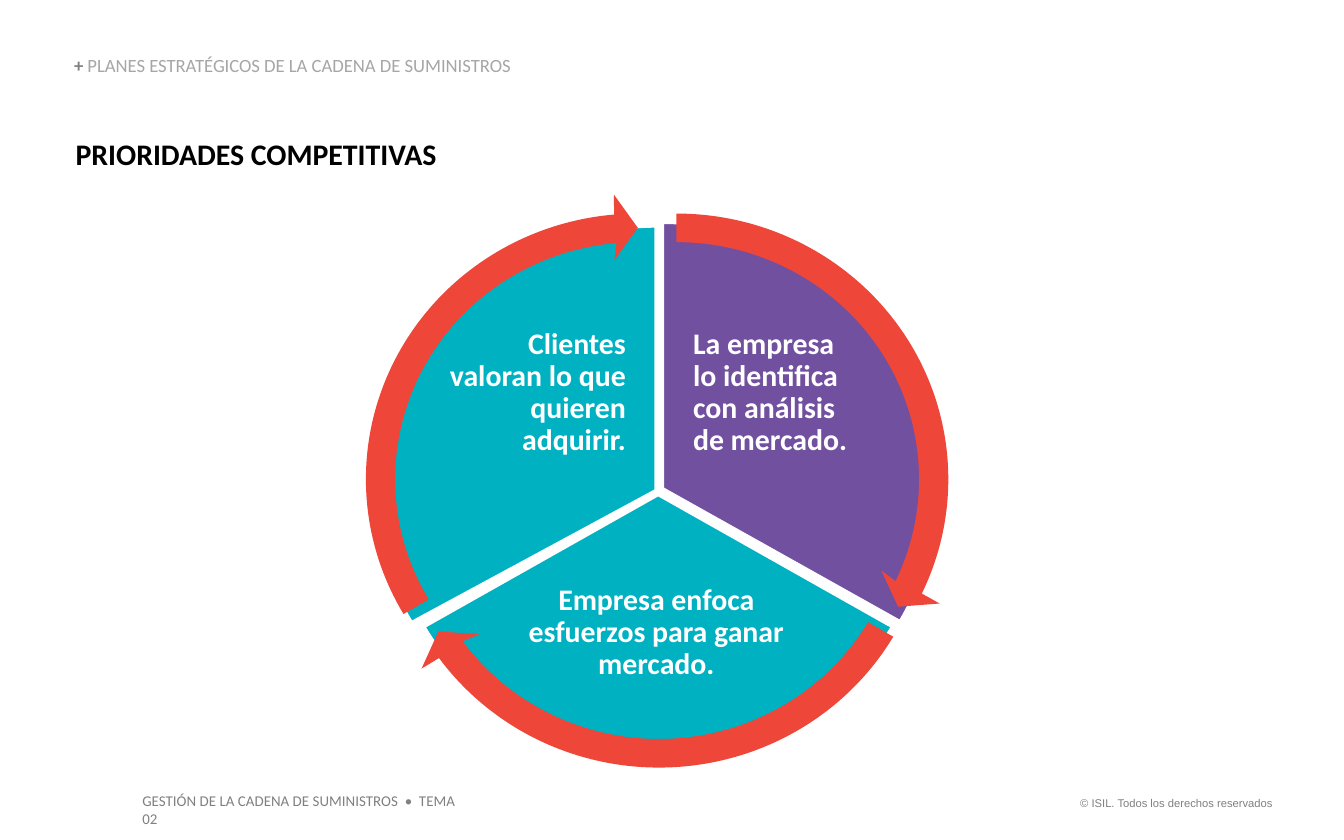
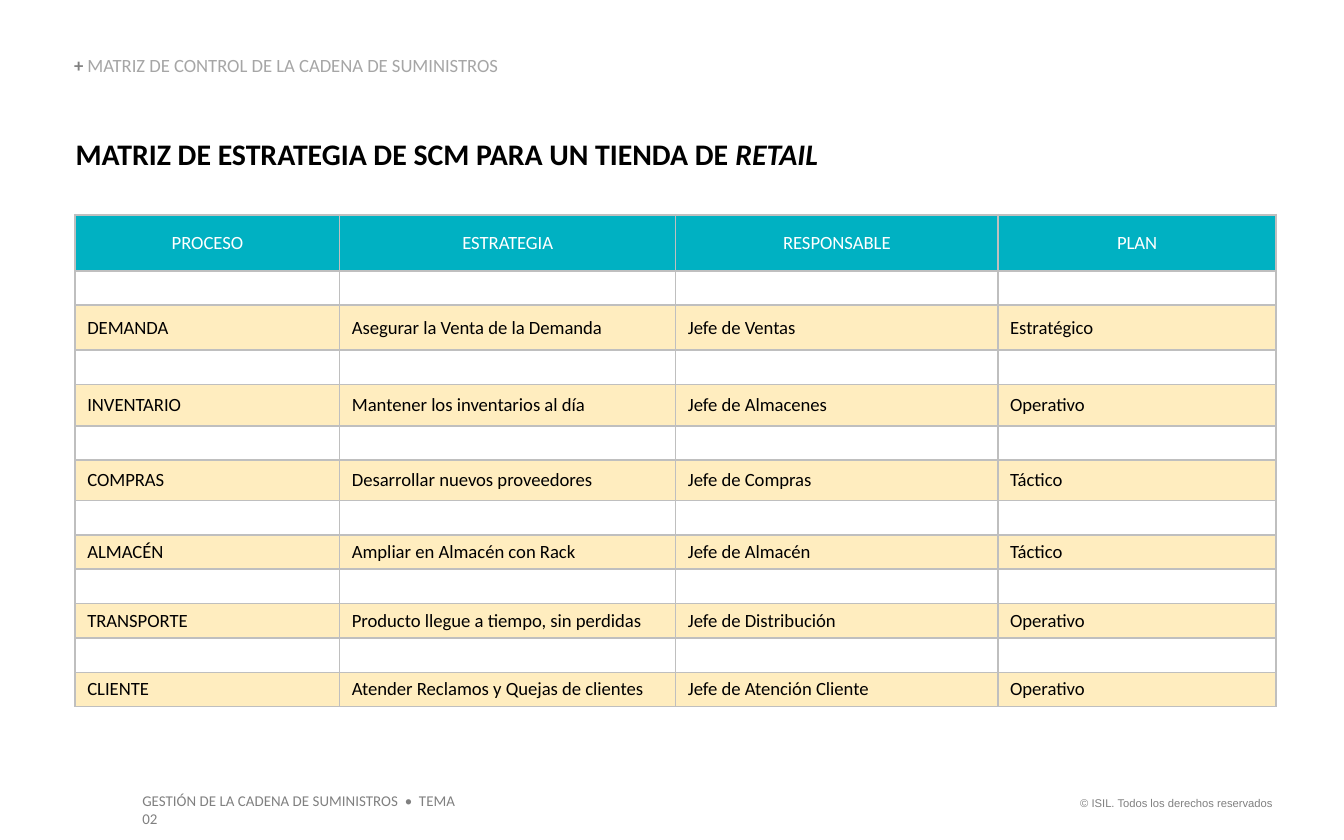
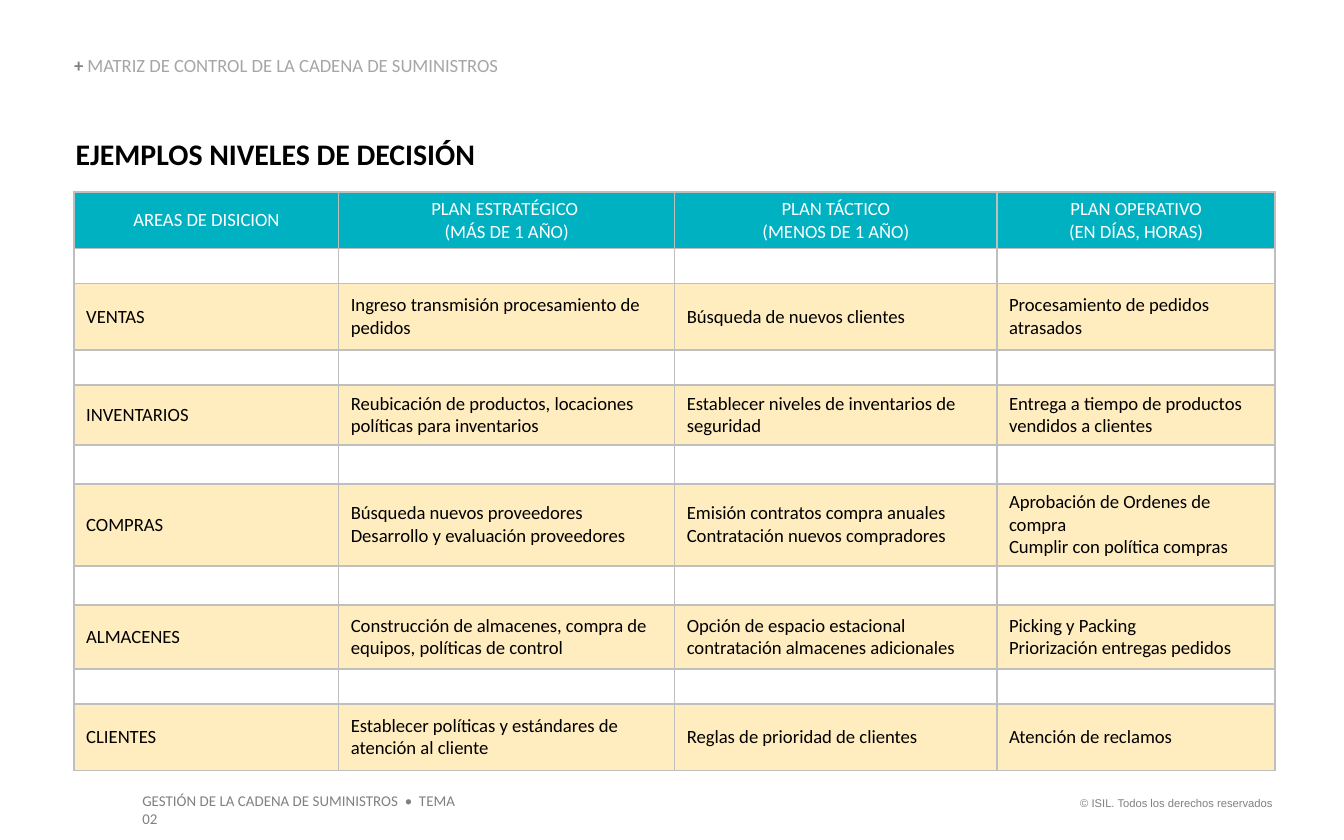
import math

from lxml import etree
from pptx import Presentation
from pptx import util as u
from pptx.dml.color import RGBColor
from pptx.enum import text as t
from pptx.oxml import ns

Cm, Pt = u.Cm, u.Pt

TEAL, PURPLE, RED = "00B1C2", "7150A0", "EE4639"
CREAM, WHITE, BLACK = "FFEDBF", "FFFFFF", "000000"
GREY, LIGHT_GREY, BORDER = "808080", "A6A6A6", "BFBFBF"
LEFT, CENTER, RIGHT = t.PP_ALIGN.LEFT, t.PP_ALIGN.CENTER, t.PP_ALIGN.RIGHT
TOP, MIDDLE, BOTTOM = t.MSO_ANCHOR.TOP, t.MSO_ANCHOR.MIDDLE, t.MSO_ANCHOR.BOTTOM

COLUMNS = (5.0, 6.35, 6.09, 5.26)
HEADER_HEIGHT = 1.06
RING_OUTER, RING_INNER = 0.93, 0.83

CONTROL_MATRIX = "MATRIZ DE CONTROL DE LA CADENA DE SUMINISTROS"

# Each row: height of the empty row above it, its own height, its cells.
STRATEGY_HEADER = ("PROCESO", "ESTRATEGIA", "RESPONSABLE", "PLAN")
STRATEGY_ROWS = (
    (0.65, 0.85, ("DEMANDA", "Asegurar la Venta de la Demanda",
                  "Jefe de Ventas", "Estratégico")),
    (0.65, 0.78, ("INVENTARIO", "Mantener los inventarios al día",
                  "Jefe de Almacenes", "Operativo")),
    (0.65, 0.76, ("COMPRAS", "Desarrollar nuevos proveedores",
                  "Jefe de Compras", "Táctico")),
    (0.65, 0.65, ("ALMACÉN", "Ampliar en Almacén con Rack",
                  "Jefe de Almacén", "Táctico")),
    (0.65, 0.65, ("TRANSPORTE", "Producto llegue a tiempo, sin perdidas",
                  "Jefe de Distribución", "Operativo")),
    (0.65, 0.65, ("CLIENTE", "Atender Reclamos y Quejas de clientes",
                  "Jefe de Atención Cliente", "Operativo")),
)
DECISION_HEADER = ("AREAS DE DISICION", "PLAN ESTRATÉGICO \v(MÁS DE 1 AÑO)",
                   "PLAN TÁCTICO\n(MENOS DE 1 AÑO)",
                   "PLAN OPERATIVO\n(EN DÍAS, HORAS)")
DECISION_ROWS = (
    (0.66, 1.26, ("VENTAS", "Ingreso transmisión procesamiento de pedidos",
                  "Búsqueda de nuevos clientes",
                  "Procesamiento de pedidos atrasados")),
    (0.66, 1.14, ("INVENTARIOS",
                  "Reubicación de productos, locaciones políticas para inventarios",
                  "Establecer niveles de inventarios de seguridad",
                  "Entrega a tiempo de productos vendidos a clientes")),
    (0.73, 1.55, ("COMPRAS",
                  "Búsqueda nuevos proveedores\nDesarrollo y evaluación proveedores",
                  "Emisión contratos compra anuales\nContratación nuevos compradores",
                  "Aprobación de Ordenes de compra\nCumplir con política compras")),
    (0.74, 1.21, ("ALMACENES",
                  "Construcción de almacenes, compra de equipos, políticas de control",
                  "Opción de espacio estacional contratación almacenes adicionales",
                  "Picking y Packing\nPriorización entregas pedidos")),
    (0.66, 1.26, ("CLIENTES",
                  "Establecer políticas y estándares de atención al cliente",
                  "Reglas de prioridad de clientes", "Atención de reclamos")),
)


def rgb(color):
    return RGBColor.from_string(color)


def set_font(font, size, color, bold=False, name="Calibri"):
    font.name, font.size, font.bold = name, Pt(size), bold
    font.color.rgb = rgb(color)


def set_margins(target, left, top, right, bottom):
    target.margin_left, target.margin_top = Cm(left), Cm(top)
    target.margin_right, target.margin_bottom = Cm(right), Cm(bottom)


def add_box(page, place, margins=(0, 0, 0, 0), anchor=TOP, align=LEFT):
    """Add a wrapping text box and return its first paragraph."""
    box = page.shapes.add_textbox(*map(Cm, place))
    frame = box.text_frame
    frame.word_wrap = True
    frame.vertical_anchor = anchor
    set_margins(frame, *margins)
    para = frame.paragraphs[0]
    para.alignment = align
    return para


def add_span(para, words):
    span = para.add_run()
    span.text = words
    return span


def add_footer(page, place, words, size, align, name):
    para = add_box(page, place, (0.25, 0.13, 0.25, 0.13), align=align)
    para.text = words
    set_font(para.font, size, GREY, name=name)


def new_page(deck, section, title, emphasis="", title_width=16.92):
    """Add a page with its section line, title (italic ending) and footers."""
    page = deck.slides.add_slide(deck.slide_layouts[6])
    add_footer(page, (20.01, 14.92, 4.29, 0.51),
               "© ISIL. Todos los derechos reservados", 6, RIGHT, "Arial")
    add_footer(page, (2.44, 14.83, 6.76, 0.61),
               "GESTIÓN DE LA CADENA DE SUMINISTROS  •  TEMA 02", 8, LEFT, "Calibri")
    para = add_box(page, (1.43, 2.57, title_width, 0.69))
    set_font(para.font, 16, BLACK, bold=True)
    add_span(para, title)
    if emphasis:
        add_span(para, emphasis).font.italic = True
    para = add_box(page, (1.4, 1.06, 11.81, 0.38), anchor=BOTTOM)
    para.line_spacing = 0.9
    set_font(add_span(para, "+ ").font, 10, GREY, bold=True)
    set_font(add_span(para, section).font, 10, LIGHT_GREY)
    return page


def polar(angle, ratio=1.0):
    """Point in a unit circle; degrees clockwise from the right."""
    turn = math.radians(angle)
    return ratio * math.cos(turn), ratio * math.sin(turn)


def arc(start, end, ratio=1.0):
    """Two Bézier curves along a circle, from the start angle to the end angle."""
    half = (end - start) / 2
    pull = 4 / 3 * math.tan(math.radians(half / 4))
    curves = []
    for first, last in ((start, start + half), (start + half, end)):
        (x1, y1), (x2, y2) = polar(first, ratio), polar(last, ratio)
        curves.append(((x1 - pull * y1, y1 + pull * x1),
                       (x2 + pull * y2, y2 - pull * x2), (x2, y2)))
    return curves


def add_round_outline(page, place, start, steps, fill):
    """Draw steps of one point (line) or three (curve) in an elliptic frame."""
    left, top, width, height = map(Cm, place)
    builder = page.shapes.build_freeform(left, top)
    builder.add_line_segments([(left + width, top), (left + width, top + height),
                               (left, top + height)])
    shape = builder.convert_to_shape()
    route = shape._element.find(".//" + ns.qn("a:path"))
    for part in list(route):
        route.remove(part)
    tags = {1: "a:lnTo", 3: "a:cubicBezTo"}
    moves = [("a:moveTo", (start,))] + [(tags[len(step)], step) for step in steps]
    for tag, points in moves:
        part = etree.SubElement(route, ns.qn(tag))
        for x, y in points:
            etree.SubElement(part, ns.qn("a:pt"), x=str(round(width * (1 + x) / 2)),
                             y=str(round(height * (1 + y) / 2)))
    etree.SubElement(route, ns.qn("a:close"))
    shape.shadow.inherit = False
    shape.fill.solid()
    shape.fill.fore_color.rgb = rgb(fill)
    shape.line.fill.background()
    return shape


def add_wedge(page, place, start, fill):
    """Add a third of a pie, with a white edge."""
    steps = arc(start, start + 120) + [((0, 0),)]
    wedge = add_round_outline(page, place, polar(start), steps, fill)
    wedge.line.color.rgb = rgb(WHITE)
    wedge.line.width = Pt(2)


def add_ring_arrow(page, left, top, start, end):
    """Add a curved band whose head begins at the end angle."""
    head = [(polar(end + lead, ratio),)
            for lead, ratio in ((0.3, 1), (5, 0.88), (-1, 0.77))]
    steps = (arc(start, end, RING_OUTER) + head + [(polar(end, RING_INNER),)]
             + arc(end, start, RING_INNER))
    add_round_outline(page, (left, top, 11.05, 10.8), polar(start, RING_OUTER),
                      steps, RED)


def add_wedge_text(page, place, words, align):
    para = add_box(page, place, (0.28, 0.28, 0.28, 0.28), MIDDLE, align)
    para.text = words
    para.line_spacing = 0.9
    set_font(para.font, 16, WHITE, bold=True)


def add_border(cell):
    properties = cell._tc.get_or_add_tcPr()
    for side in ("a:lnL", "a:lnR", "a:lnT", "a:lnB"):
        line = etree.SubElement(properties, ns.qn(side), w=str(Pt(1)))
        fill = etree.SubElement(line, ns.qn("a:solidFill"))
        etree.SubElement(fill, ns.qn("a:srgbClr"), val=BORDER)


def fill_cell(cell, words, fill, color, align):
    add_border(cell)
    cell.fill.solid()
    cell.fill.fore_color.rgb = rgb(fill)
    cell.vertical_anchor = MIDDLE
    set_margins(cell, 0.23, 0.11, 0.23, 0.11)
    frame = cell.text_frame
    for index, line in enumerate(words.split("\n")):
        para = frame.add_paragraph() if index else frame.paragraphs[0]
        para.alignment = align
        set_font(para.font, 10, color)
        if line:
            para.text = line
        else:
            etree.SubElement(para._p, ns.qn("a:endParaRPr"), sz="1000")


def add_matrix(page, left, top, header, rows):
    """Add a table with an empty row above each row of content."""
    lines = [(HEADER_HEIGHT, header, TEAL, WHITE, CENTER)]
    for gap, height, cells in rows:
        lines.append((gap, [""] * len(cells), WHITE, BLACK, LEFT))
        lines.append((height, cells, CREAM, BLACK, LEFT))
    total = sum(line[0] for line in lines)
    table = page.shapes.add_table(len(lines), len(COLUMNS), Cm(left), Cm(top),
                                  Cm(sum(COLUMNS)), Cm(total)).table
    table.first_row = table.horz_banding = False
    for column, width in zip(table.columns, COLUMNS):
        column.width = Cm(width)
    for row, (height, cells, fill, color, align) in zip(table.rows, lines):
        row.height = Cm(height)
        for cell, words in zip(row.cells, cells):
            fill_cell(cell, words, fill, color, align)


def add_priorities_cycle(page):
    add_wedge(page, (7.32, 4.2, 10.39, 10.08), -90, PURPLE)
    add_wedge(page, (7.32, 4.34, 10.24, 10.01), 30, TEAL)
    add_wedge(page, (7.06, 4.27, 10.69, 10.01), 150, TEAL)
    add_ring_arrow(page, 7.26, 3.66, -90, 25.5)
    add_ring_arrow(page, 6.93, 4.09, 30.5, 144)
    add_ring_arrow(page, 6.53, 3.66, 149.5, 265)
    add_wedge_text(page, (8.1, 6.13, 4.01, 2.59),
                   "Clientes\vvaloran lo que quieren adquirir.", RIGHT)
    add_wedge_text(page, (9.32, 10.67, 6.17, 2.59),
                   "Empresa enfoca esfuerzos para ganar mercado.", CENTER)
    add_wedge_text(page, (12.82, 6.13, 3.48, 2.59),
                   "La empresa lo identifica con análisis de mercado.", LEFT)


def main():
    deck = Presentation()
    deck.slide_width, deck.slide_height = Cm(25.4), Cm(15.88)

    page = new_page(deck, "PLANES ESTRATÉGICOS DE LA CADENA DE SUMINISTROS",
                    "PRIORIDADES COMPETITIVAS", title_width=11.28)
    add_priorities_cycle(page)

    page = new_page(deck, CONTROL_MATRIX,
                    "MATRIZ DE ESTRATEGIA DE SCM PARA UN TIENDA DE ", "RETAIL")
    add_matrix(page, 1.42, 4.06, STRATEGY_HEADER, STRATEGY_ROWS)

    page = new_page(deck, CONTROL_MATRIX, "EJEMPLOS NIVELES DE DECISIÓN")
    add_matrix(page, 1.4, 3.63, DECISION_HEADER, DECISION_ROWS)

    deck.save("out.pptx")


if __name__ == "__main__":
    main()
